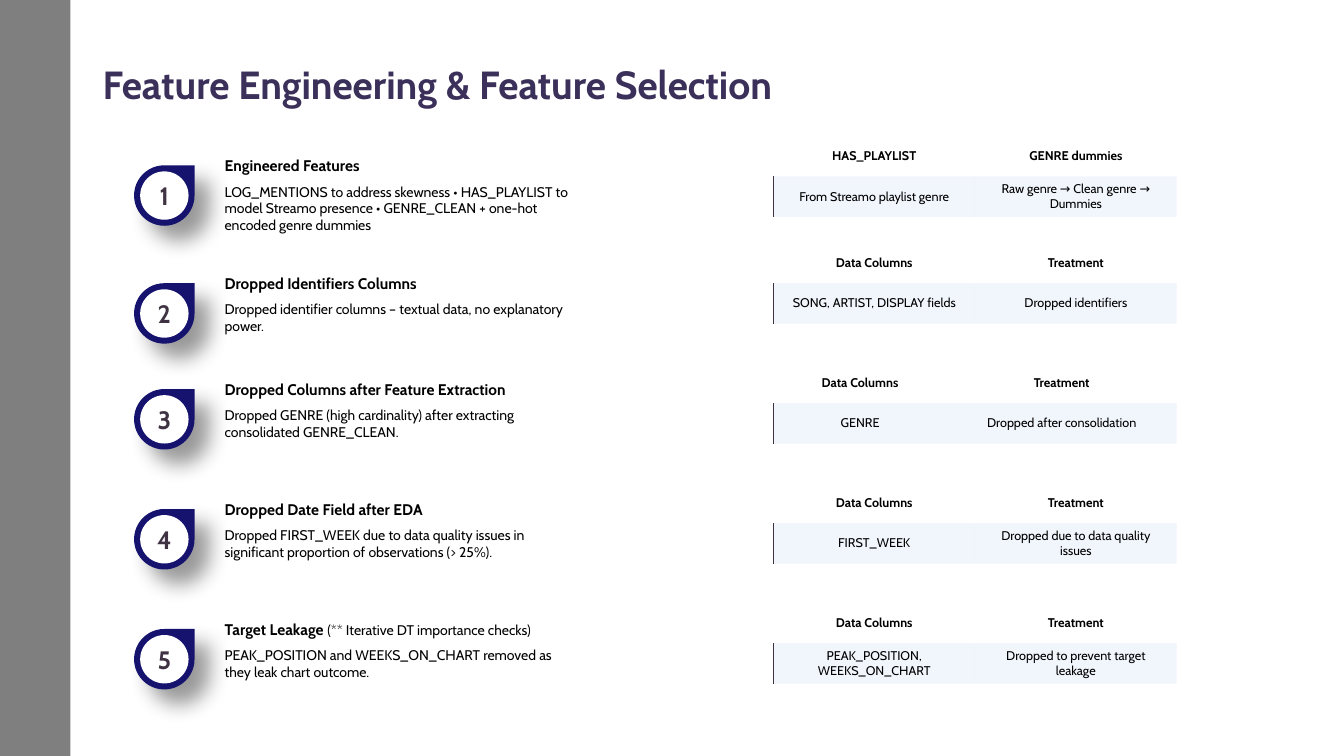
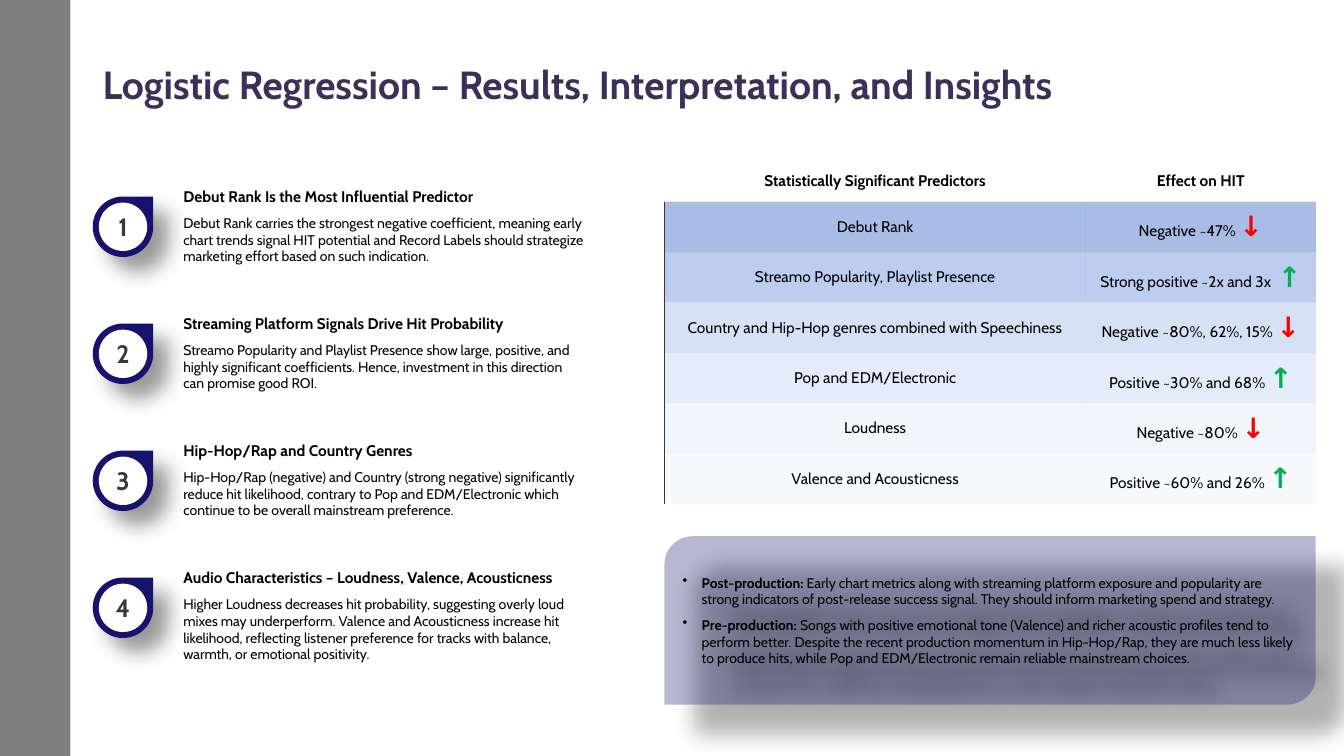
from dataclasses import dataclass

from lxml.etree import SubElement
from pptx import Presentation
from pptx.dml.color import RGBColor
from pptx.enum.shapes import MSO_SHAPE
from pptx.enum.text import MSO_ANCHOR, PP_ALIGN
from pptx.oxml import parse_xml
from pptx.oxml.ns import nsdecls, qn
from pptx.util import Emu, Pt

EMU_PER_PX = 9144  # 100 px to the inch
PLAIN_TABLE_STYLE = "{2D5ABB26-0587-4C30-8999-92F81FD0307C}"


@dataclass(frozen=True)
class Theme:
    font: str = "Cabin"
    title: str = "3B3059"
    text: str = "000000"
    number: str = "3F3242"
    navy: str = "15136E"
    white: str = "FFFFFF"
    black: str = "000000"
    row: str = "DEE6F8"
    rise: str = "00B050"
    fall: str = "FF0000"
    ramp: tuple = ("2958BE", "5982DB", "9BB4E9", "BDCDF1", "DEE6F8", "EDF2FB")
    title_size: int = 28
    number_size: int = 18
    arrow_size: int = 20
    heading_size: int = 11
    body_size: int = 10
    small_size: int = 9


THEME = Theme()


@dataclass(frozen=True)
class Point:
    top: int
    height: int
    heading: str
    body: str
    note: str = ""


def px(length):
    return Emu(length * EMU_PER_PX)


def box(left, top, width, height):
    return [px(length) for length in (left, top, width, height)]


# Text and formatting helpers
def add_bullet(paragraph):
    properties = paragraph._p.get_or_add_pPr()
    properties.set("marL", str(px(19)))
    properties.set("indent", str(-px(19)))
    SubElement(properties, qn("a:buChar"), char="•")


def write(frame, paragraphs, *, size=THEME.body_size, color=THEME.text, bold=False,
          align=PP_ALIGN.LEFT, after=0, spacing=None, bullet=False):
    """Each paragraph is a list of runs: a string, or (string, overrides)."""
    for index, runs in enumerate(paragraphs):
        paragraph = frame.add_paragraph() if index else frame.paragraphs[0]
        if bullet:
            add_bullet(paragraph)
        paragraph.alignment = align
        paragraph.space_after = Pt(after)
        if spacing:
            paragraph.line_spacing = spacing
        for item in runs:
            text, changes = (item, {}) if isinstance(item, str) else item
            run = paragraph.add_run()
            run.text = text
            style = {"size": size, "color": color, "bold": bold, **changes}
            run.font.name = THEME.font
            run.font.size = Pt(style["size"])
            run.font.bold = style["bold"]
            run.font.color.rgb = RGBColor.from_string(style["color"])


def paint(fill, properties, color, opacity=100):
    fill.solid()
    fill.fore_color.rgb = RGBColor.from_string(color)
    if opacity < 100:
        color_element = next(properties.iter(qn("a:srgbClr")))
        SubElement(color_element, qn("a:alpha"), val=str(opacity * 1000))


def add_shadow(shape, opacity, blur, distance):
    effects = shape._element.spPr.find(qn("a:effectLst"))
    shadow = SubElement(effects, qn("a:outerShdw"), blurRad=str(Pt(blur)),
                        dist=str(Pt(distance)), dir=str(45 * 60000),
                        algn="tl", rotWithShape="0")
    color = SubElement(shadow, qn("a:srgbClr"), val=THEME.black)
    SubElement(color, qn("a:alpha"), val=str(opacity * 1000))


# Element builders
def add_plain_shape(shapes, kind, area, color, opacity=100):
    shape = shapes.add_shape(kind, *box(*area))
    paint(shape.fill, shape._element.spPr, color, opacity)
    shape.line.fill.background()
    shape.shadow.inherit = False
    return shape


def add_text(slide, area, paragraphs, anchor=MSO_ANCHOR.TOP, **style):
    frame = slide.shapes.add_textbox(*box(*area)).text_frame
    frame.word_wrap = True
    frame.vertical_anchor = anchor
    write(frame, paragraphs, **style)


def add_titled_slide(presentation, title):
    slide = presentation.slides.add_slide(presentation.slide_layouts[6])
    add_plain_shape(slide.shapes, MSO_SHAPE.RECTANGLE, (0, 0, 70, 750), THEME.black, 50)
    add_text(slide, (92, 60, 1150, 53), [[title]], MSO_ANCHOR.MIDDLE,
             size=THEME.title_size, color=THEME.title, bold=True, spacing=0.9)
    return slide


def add_badge(slide, left, top, number):
    group = slide.shapes.add_group_shape()
    drop = add_plain_shape(group.shapes, MSO_SHAPE.TEAR, (left, top, 60, 60), THEME.navy)
    add_shadow(drop, 40, 15, 15)
    disc = add_plain_shape(group.shapes, MSO_SHAPE.OVAL,
                           (left + 6, top + 6, 48, 48), THEME.white)
    frame = disc.text_frame
    frame.margin_left = frame.margin_right = frame.margin_top = frame.margin_bottom = 0
    frame.vertical_anchor = MSO_ANCHOR.MIDDLE
    write(frame, [[str(number)]], size=THEME.number_size, color=THEME.number,
          bold=True, align=PP_ALIGN.CENTER)


def add_points(slide, left, width, points):
    for number, point in enumerate(points, start=1):
        add_badge(slide, left, point.top, number)
        heading = [(point.heading, {"size": THEME.heading_size, "bold": True})]
        if point.note:
            heading.append(point.note)
        add_text(slide, (left + 80, point.top - 14, width, point.height),
                 [heading, [point.body]], after=6)


def add_left_border(cell):
    border = parse_xml(
        f'<a:lnL {nsdecls("a")} w="{Pt(1)}"><a:solidFill>'
        f'<a:srgbClr val="{THEME.number}"/></a:solidFill></a:lnL>')
    cell._tc.get_or_add_tcPr().insert(0, border)


def add_grid(slide, left, top, columns, row_height, rows, fills, size):
    """The header row is 40 px high and unfilled; fills colour the rows below."""
    heights = [40] + [row_height] * len(fills)
    frame = slide.shapes.add_table(len(rows), len(columns),
                                   *box(left, top, sum(columns), sum(heights)))
    table = frame.table
    table.first_row = table.horz_banding = False
    table._tbl.tblPr.find(qn("a:tableStyleId")).text = PLAIN_TABLE_STYLE
    for column, width in zip(table.columns, columns):
        column.width = px(width)
    for row_index, values in enumerate(rows):
        table.rows[row_index].height = px(heights[row_index])
        for column_index, runs in enumerate(values):
            cell = table.cell(row_index, column_index)
            cell.vertical_anchor = MSO_ANCHOR.MIDDLE
            write(cell.text_frame, [runs], size=size, bold=row_index == 0,
                  align=PP_ALIGN.CENTER)
            if row_index == 0:
                cell.fill.background()
                continue
            paint(cell.fill, cell._tc.get_or_add_tcPr(), fills[row_index - 1], 40)
            if column_index == 0:
                add_left_border(cell)


def effect(text, rises, wide_gap=False):
    arrow = ("↑" if rises else "↓", {
        "size": THEME.arrow_size, "bold": True,
        "color": THEME.rise if rises else THEME.fall})
    gap = (" ", {"size": THEME.arrow_size if wide_gap else THEME.heading_size})
    return [text, gap, arrow]


# Slides
def build_features(presentation):
    slide = add_titled_slide(presentation, "Feature Engineering & Feature Selection")
    add_points(slide, 133, 370, [
        Point(164, 91, "Engineered Features",
              "LOG_MENTIONS to address skewness • HAS_PLAYLIST to model Streamo presence "
              "• GENRE_CLEAN + one-hot encoded genre dummies"),
        Point(281, 80, "Dropped Identifiers Columns",
              "Dropped identifier columns – textual data, no explanatory power."),
        Point(386, 80, "Dropped Columns after Feature Extraction",
              "Dropped GENRE (high cardinality) after extracting consolidated GENRE_CLEAN."),
        Point(505, 80, "Dropped Date Field after EDA",
              "Dropped FIRST_WEEK due to data quality issues in significant proportion "
              "of observations (> 25%)."),
        Point(624, 80, "Target Leakage ",
              "PEAK_POSITION and WEEKS_ON_CHART removed as they leak chart outcome.",
              "(** Iterative DT importance checks)"),
    ])
    treatment = ("Data Columns", "Treatment")
    even = (200, 200)
    tables = [
        (135, even, ("HAS_PLAYLIST", "GENRE dummies"),
         ("From Streamo playlist genre", "Raw genre → Clean genre → Dummies")),
        (241, even, treatment, ("SONG, ARTIST, DISPLAY fields", "Dropped identifiers")),
        (360, (172, 228), treatment, ("GENRE", "Dropped after consolidation")),
        (479, even, treatment, ("FIRST_WEEK", "Dropped due to data quality issues")),
        (598, even, treatment,
         ("PEAK_POSITION, WEEKS_ON_CHART", "Dropped to prevent target leakage")),
    ]
    for top, columns, *rows in tables:
        cells = [[[text] for text in row] for row in rows]
        add_grid(slide, 767, top, columns, 40, cells, [THEME.row], THEME.small_size)


def build_results(presentation):
    slide = add_titled_slide(
        presentation, "Logistic Regression – Results, Interpretation, and Insights")
    findings = [
        ("Debut Rank Is the Most Influential Predictor",
         "Debut Rank carries the strongest negative coefficient, meaning early chart trends "
         "signal HIT potential and Record Labels should strategize marketing effort based "
         "on such indication."),
        ("Streaming Platform Signals Drive Hit Probability",
         "Streamo Popularity and Playlist Presence show large, positive, and highly "
         "significant coefficients. Hence, investment in this direction can promise good ROI."),
        ("Hip-Hop/Rap and Country Genres",
         "Hip-Hop/Rap (negative) and Country (strong negative) significantly reduce hit "
         "likelihood, contrary to Pop and EDM/Electronic which continue to be overall "
         "mainstream preference."),
        ("Audio Characteristics – Loudness, Valence, Acousticness",
         "Higher Loudness decreases hit probability, suggesting overly loud mixes may "
         "underperform. Valence and Acousticness increase hit likelihood, reflecting "
         "listener preference for tracks with balance, warmth, or emotional positivity."),
    ]
    add_points(slide, 92, 418, [
        Point(195 + 126 * index, 112 if index == 3 else 88, heading, body)
        for index, (heading, body) in enumerate(findings)])

    # Predictor table
    rows = [
        (["Statistically Significant Predictors"], ["Effect on HIT"]),
        (["Debut Rank"], effect("Negative ~47%", False)),
        (["Streamo Popularity, Playlist Presence"],
         effect("Strong positive ~2x and 3x", True, wide_gap=True)),
        (["Country and Hip-Hop genres combined with Speechiness"],
         effect("Negative ~80%, 62%, 15%", False)),
        (["Pop and EDM/Electronic"], effect("Positive ~30% and 68%", True)),
        (["Loudness"], effect("Negative ~80%", False)),
        (["Valence and Acousticness"], effect("Positive ~60% and 26%", True)),
    ]
    add_grid(slide, 659, 160, (418, 228), 50, rows, THEME.ramp, THEME.heading_size)

    # Insight panel
    panel = add_plain_shape(slide.shapes, MSO_SHAPE.ROUND_2_DIAG_RECTANGLE,
                            (659, 532, 646, 167), THEME.navy, 30)
    add_shadow(panel, 30, 16, 30)
    panel.text_frame.vertical_anchor = MSO_ANCHOR.MIDDLE
    write(panel.text_frame, [
        [("Post-production: ", {"bold": True}),
         "Early chart metrics along with streaming platform exposure and popularity are "
         "strong indicators of post-release success signal. They should inform marketing "
         "spend and strategy."],
        [("Pre-production: ", {"bold": True}),
         "Songs with positive emotional tone (Valence) and richer acoustic profiles tend to "
         "perform better. Despite the recent production momentum in Hip-Hop/Rap, they are "
         "much less likely to produce hits, while Pop and EDM/Electronic remain reliable "
         "mainstream choices."],
    ], after=6, bullet=True)


def main():
    presentation = Presentation()
    presentation.slide_width, presentation.slide_height = px(1333), px(750)
    build_features(presentation)
    build_results(presentation)
    presentation.save("out.pptx")


if __name__ == "__main__":
    main()
